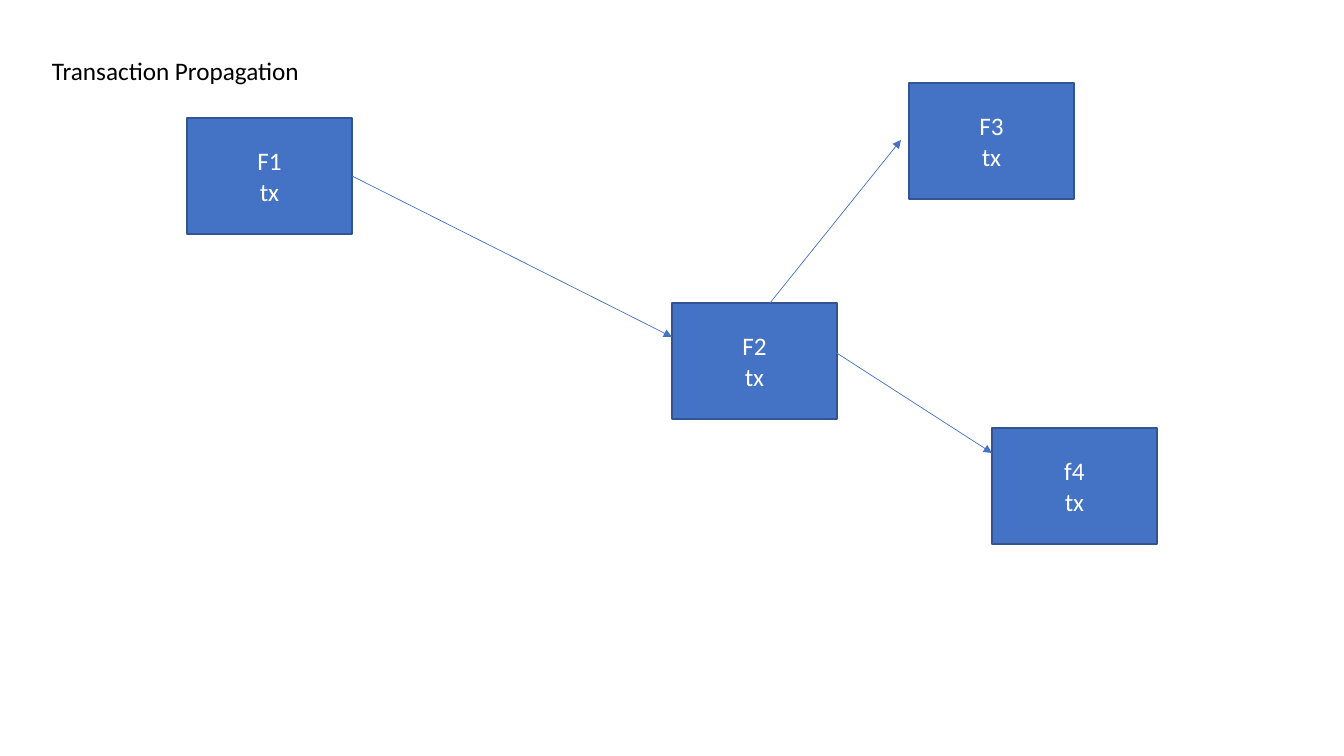
from lxml import etree
from pptx import Presentation
from pptx.dml.color import RGBColor
from pptx.enum.shapes import MSO_CONNECTOR, MSO_SHAPE
from pptx.enum.text import MSO_ANCHOR, MSO_AUTO_SIZE, PP_ALIGN
from pptx.oxml.ns import qn
from pptx.util import Pt

RECTANGLE = MSO_SHAPE.RECTANGLE
STRAIGHT = MSO_CONNECTOR.STRAIGHT
CENTER, LEFT = PP_ALIGN.CENTER, PP_ALIGN.LEFT
MIDDLE = MSO_ANCHOR.MIDDLE
GROW = MSO_AUTO_SIZE.SHAPE_TO_FIT_TEXT
RIGHT_SIDE = 3

TITLE = "Transaction Propagation"
TITLE_AREA = (42, 50, 1271, 40)
NODE_SIZE = (165, 116)
NODES = {  # label: left, top
    "F1": (187, 118),
    "F2": (672, 303),
    "F3": (909, 83),
    "f4": (992, 428),
}
NODE_NOTE = "tx"
CALLS = [  # start, end, node joined at the middle of its right side
    ((352, 176), (672, 337), "F1"),
    ((770, 303), (901, 140), None),
    ((787, 321), (992, 453), None),
]
COLORS = {"node": "4472C4", "border": "325491", "label": "FFFFFF", "title": "000000"}
FONT = {"name": "Calibri", "size": Pt(18)}
EMU_PER_PX = 914400 / 100.8


def px(*lengths):
    return [round(length * EMU_PER_PX) for length in lengths]


def color(name):
    return RGBColor.from_string(COLORS[name])


def write(frame, lines, color_name, alignment):
    frame.word_wrap = True
    for index, line in enumerate(lines):
        paragraph = frame.paragraphs[0] if index == 0 else frame.add_paragraph()
        paragraph.alignment = alignment
        run = paragraph.add_run()
        run.text = line
        for attribute, value in FONT.items():
            setattr(run.font, attribute, value)
        run.font.color.rgb = color(color_name)


def add_node(shapes, label, corner):
    node = shapes.add_shape(RECTANGLE, *px(*corner, *NODE_SIZE))
    node.shadow.inherit = False
    node.fill.solid()
    node.fill.fore_color.rgb = color("node")
    node.line.color.rgb = color("border")
    node.line.width = Pt(1)
    node.text_frame.vertical_anchor = MIDDLE
    write(node.text_frame, [label, NODE_NOTE], "label", CENTER)
    return node


def add_arrow(shapes, start, end, source):
    arrow = shapes.add_connector(STRAIGHT, *px(*start, *end))
    if source is not None:
        arrow.begin_connect(source, RIGHT_SIDE)
    arrow.line.color.rgb = color("node")
    arrow.line.width = Pt(0.5)
    etree.SubElement(arrow.line._get_or_add_ln(), qn("a:tailEnd"), type="triangle")
    etree.SubElement(arrow._element.spPr, qn("a:effectLst"))


def main():
    deck = Presentation()
    deck.slide_width, deck.slide_height = px(1344, 756)
    shapes = deck.slides.add_slide(deck.slide_layouts[6]).shapes

    nodes = {label: add_node(shapes, label, corner) for label, corner in NODES.items()}
    for start, end, source in CALLS:
        add_arrow(shapes, start, end, nodes.get(source))

    title = shapes.add_textbox(*px(*TITLE_AREA)).text_frame
    write(title, [TITLE], "title", LEFT)
    title.auto_size = GROW

    deck.save("out.pptx")


if __name__ == "__main__":
    main()
